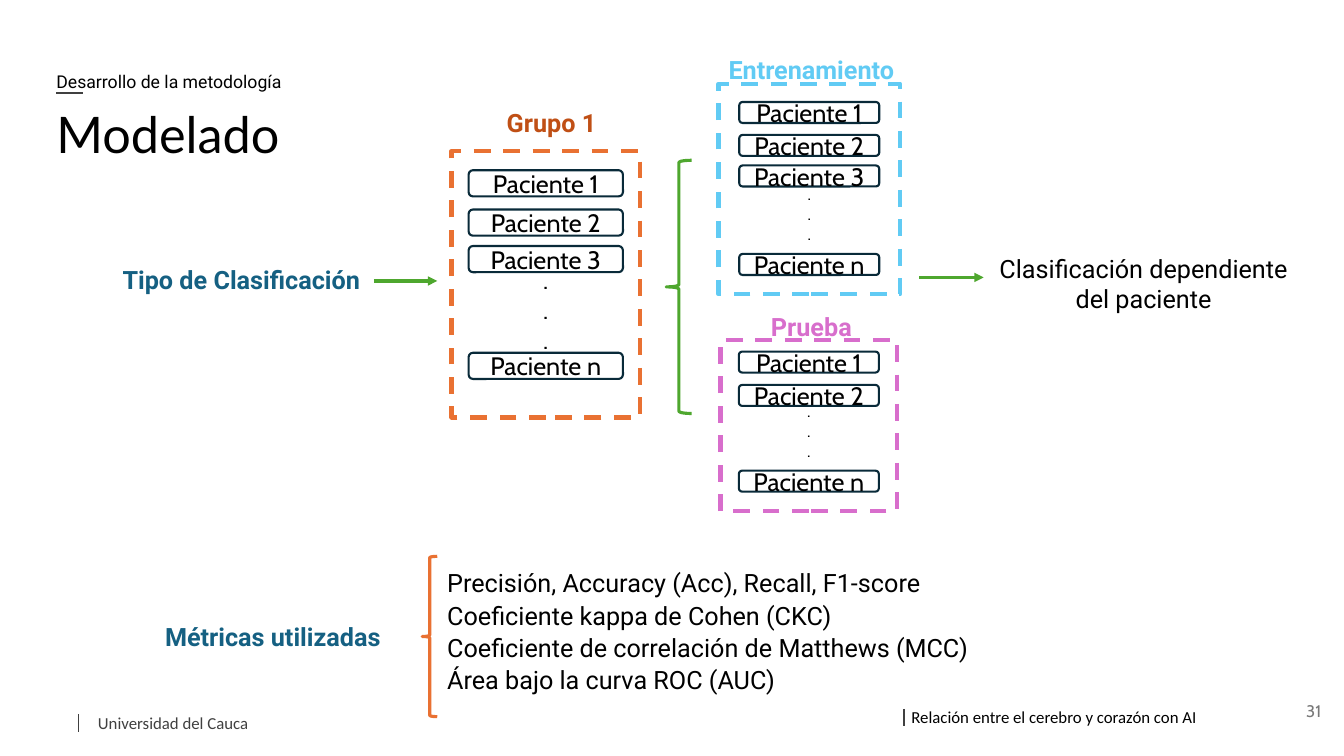
from lxml import etree
from pptx import Presentation
from pptx.dml.color import RGBColor
from pptx.enum.dml import MSO_LINE
from pptx.enum.shapes import MSO_CONNECTOR, MSO_SHAPE
from pptx.enum.text import MSO_ANCHOR, MSO_AUTO_SIZE, PP_ALIGN
from pptx.oxml.ns import qn
from pptx.util import Cm, Pt

STRAIGHT = MSO_CONNECTOR.STRAIGHT
RECT, PILL, BRACE = MSO_SHAPE.RECTANGLE, MSO_SHAPE.ROUNDED_RECTANGLE, MSO_SHAPE.LEFT_BRACE
DASH = MSO_LINE.DASH
TOP, MIDDLE = MSO_ANCHOR.TOP, MSO_ANCHOR.MIDDLE
LEFT, CENTER, RIGHT, JUSTIFY = PP_ALIGN.LEFT, PP_ALIGN.CENTER, PP_ALIGN.RIGHT, PP_ALIGN.JUSTIFY

COLORS = {
    "text": "000000", "rule": "404040", "number": "797979", "heading": "156082",
    "pill": "092A39", "green": "4EA72E", "orange": "E97132", "rust": "C04F15",
    "sky": "61CBF4", "pink": "D86ECC",
}
SIDE_INSET, EDGE_INSET = 0.25, 0.13


def rgb(name):
    return RGBColor.from_string(COLORS[name])


def write(shape, lines, size=18, font="Roboto", color="text", bold=False,
          align=LEFT, anchor=TOP, spacing=1.0, insets=(SIDE_INSET, EDGE_INSET)):
    """Fill a shape with one formatted paragraph per line."""
    side, edge = insets
    frame = shape.text_frame
    frame_format = {
        "word_wrap": True, "auto_size": MSO_AUTO_SIZE.NONE, "vertical_anchor": anchor,
        "margin_left": Cm(side), "margin_right": Cm(side),
        "margin_top": Cm(edge), "margin_bottom": Cm(edge),
    }
    for name, value in frame_format.items():
        setattr(frame, name, value)
    for index, line in enumerate(lines):
        para = frame.add_paragraph() if index else frame.paragraphs[0]
        para.alignment = align
        para.line_spacing = spacing
        para.space_before = Pt(0)
        span = para.add_run()
        span.text = line
        for name, value in {"name": font, "size": Pt(size), "bold": bold}.items():
            setattr(span.font, name, value)
        span.font.color.rgb = rgb(color)


def add_text(page, box, lines, **text_format):
    shape = page.shapes.add_textbox(*map(Cm, box))
    write(shape, lines, **text_format)


def add_outline(page, kind, box, color, width, dash=None):
    """Add an unfilled preset shape."""
    shape = page.shapes.add_shape(kind, *map(Cm, box))
    shape.shadow.inherit = False
    shape.fill.background()
    shape.line.color.rgb = rgb(color)
    shape.line.width = Pt(width)
    if dash:
        shape.line.dash_style = dash
    return shape


def add_line(page, start, end, color="rule", width=1, arrow=False):
    line = page.shapes.add_connector(STRAIGHT, *map(Cm, (*start, *end)))
    line.line.color.rgb = rgb(color)
    line.line.width = Pt(width)
    if arrow:
        etree.SubElement(line.line._get_or_add_ln(), qn("a:tailEnd"), type="triangle")
    etree.SubElement(line._element.spPr, qn("a:effectLst"))


def add_heading(page, box):
    left, top, width, height = box
    title = page.shapes.title
    for name, value in zip(("left", "top", "width", "height"), (left, top, 8.5, 1.02)):
        setattr(title, name, Cm(value))
    write(title, ["Desarrollo de la metodología"], size=12.6, anchor=MIDDLE)
    add_line(page, (left + 0.25, top + 0.8), (left + 0.91, top + 0.8))
    add_text(page, (left, top + 0.92, width, height - 0.92), ["Modelado"], size=36, font="Lato")


def add_patients(page, box, label, label_box, label_color, frame_color,
                 pill_size, names, pill_tops, dots_top, dots_size):
    """Draw a dashed frame of patients; inner positions are offsets from its corner."""
    left, top, width, _ = box
    pill_width, pill_height = pill_size
    pill_left = left + (width - pill_width) / 2
    for name, pill_top in zip(names, pill_tops):
        pill = add_outline(page, PILL, (pill_left, top + pill_top, *pill_size), "pill", 1.5)
        write(pill, [name], font="Cabin", align=CENTER, anchor=MIDDLE)
    dots_box = (pill_left + pill_width / 2 - 0.3, top + dots_top, 0.6, dots_size * 0.14)
    add_text(page, dots_box, ["."] * 3, size=dots_size, font="Cabin",
             align=CENTER, insets=(0, EDGE_INSET))
    add_outline(page, RECT, box, frame_color, 3, DASH)
    label_left, label_top, label_width = label_box
    add_text(page, (left + label_left, top + label_top, label_width, 1.02), [label],
             color=label_color, bold=True)


def add_classification(page, box):
    left, top, _, _ = box
    add_text(page, (left, top + 5.28, 7.37, 1.02), ["Tipo de Clasificación"],
             color="heading", bold=True)
    add_line(page, (left + 6.58, top + 5.84), (left + 8.18, top + 5.84), "green", 2.25, True)
    four = ["Paciente 1", "Paciente 2", "Paciente 3", "Paciente n"]
    three = [name for name in four if name != "Paciente 3"]
    add_patients(page, (left + 8.54, top + 2.57, 4.75, 6.71), "Grupo 1", (1.14, -1.24, 3.28),
                 "rust", "orange", (3.89, 0.66), four, (0.48, 1.47, 2.39, 5.08), 2.72, 18)
    add_outline(page, BRACE, (left + 13.95, top + 2.8, 0.64, 6.38), "green", 2.25)
    add_patients(page, (left + 15.27, top + 0.87, 4.57, 5.31), "Entrenamiento", (0, -0.87, 5.05),
                 "sky", "sky", (3.53, 0.53), four, (0.46, 1.29, 2.06, 4.29), 2.39, 12)
    add_patients(page, (left + 15.32, top + 7.32, 4.45, 4.32), "Prueba", (1.02, -0.84, 2.67),
                 "pink", "pink", (3.53, 0.53), three, (0.3, 1.14, 3.3), 1.4, 12)
    add_line(page, (left + 20.32, top + 5.75), (left + 21.95, top + 5.75), "green", 2.25, True)
    add_text(page, (left + 22.08, top + 5.01, 7.8, 1.8),
             ["Clasificación dependiente del paciente"], align=CENTER)


def add_metrics(page, box):
    left, top, width, height = box
    add_text(page, (left, top + 1.5, 6.3, 1.02), ["Métricas utilizadas"],
             color="heading", bold=True)
    metrics = ["Precisión, Accuracy (Acc), Recall, F1-score", "Coeficiente kappa de Cohen (CKC)",
               "Coeficiente de correlación de Matthews (MCC)", "Área bajo la curva ROC (AUC)"]
    add_text(page, (left + 7.11, top + 0.1, width - 7.11, 3.5), metrics,
             align=JUSTIFY, spacing=1.07)
    add_outline(page, BRACE, (left + 6.73, top, 0.38, height), "orange", 2.25)


def add_footer(page, box):
    left, top, width, height = box
    notes = [(0, 0.24, "Universidad del Cauca", "rule"),
             (20.8, 0.1, "Relación entre el cerebro y corazón con AI", "text")]
    for offset, drop, text, color in notes:
        x, y = left + offset, top + drop
        add_line(page, (x, y + 0.06), (x, y + 0.5))
        shift = 0.49 if offset == 0 else 0.19
        add_text(page, (x + shift, y - 0.02, 8, 0.56), [text], size=12, font="Calibri",
                 color=color, insets=(0, 0.03))
    add_text(page, (left + width - 7.62, top - 0.3, 7.62, height), ["31"], size=12,
             font="Cabin", color="number", align=RIGHT, anchor=MIDDLE)


def main():
    deck = Presentation()
    deck.slide_width, deck.slide_height = Cm(33.87), Cm(19.05)
    page = deck.slides.add_slide(deck.slide_layouts[5])
    add_footer(page, (1.98, 17.7, 31.57, 1.02))
    add_heading(page, (1.17, 1.54, 16.94, 2.73))
    add_classification(page, (2.84, 1.24, 29.88, 11.64))
    add_metrics(page, (3.91, 14.02, 24.05, 4.04))
    deck.save("out.pptx")


if __name__ == "__main__":
    main()
